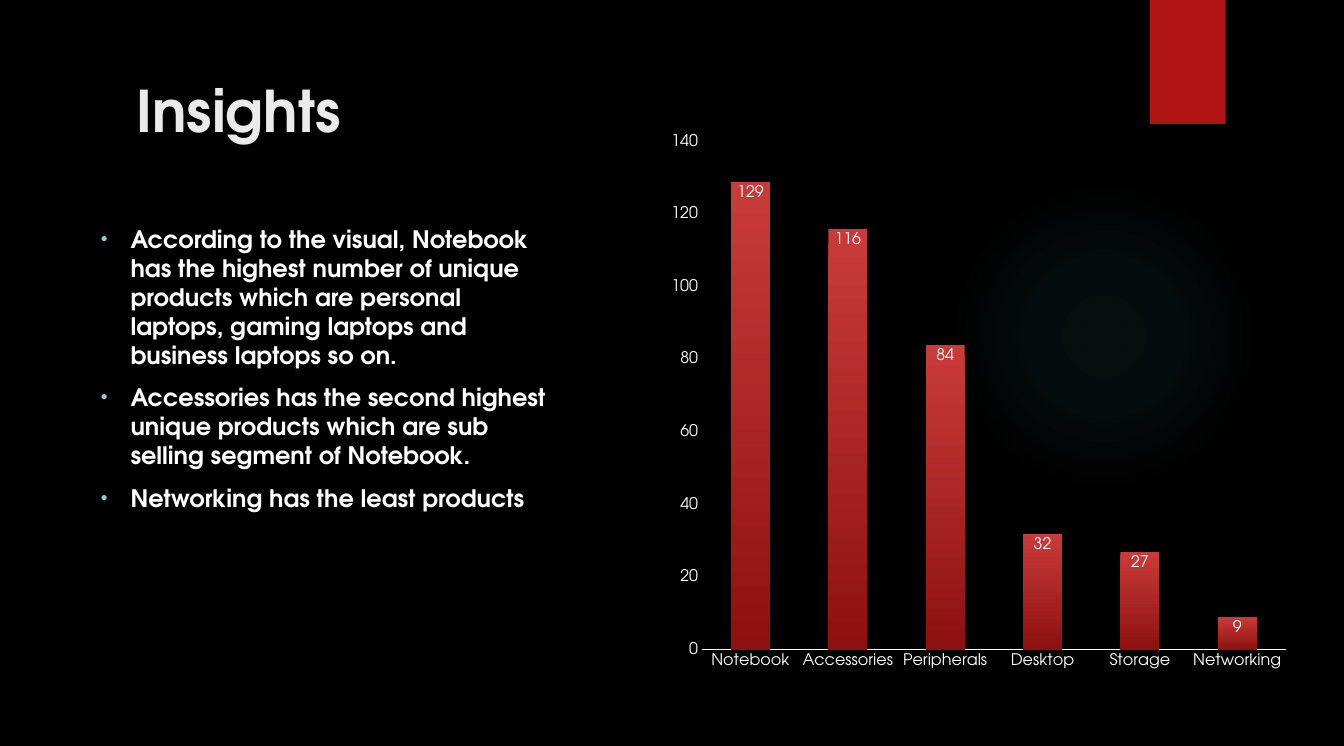
from dataclasses import dataclass

from lxml import etree
from pptx import Presentation
from pptx.chart.data import CategoryChartData
from pptx.dml.color import RGBColor
from pptx.enum.chart import XL_CHART_TYPE, XL_LABEL_POSITION, XL_TICK_MARK
from pptx.enum.shapes import MSO_SHAPE
from pptx.enum.text import MSO_ANCHOR
from pptx.oxml import parse_xml
from pptx.oxml.ns import nsdecls, qn
from pptx.util import Inches, Pt

COLUMN_STACKED = XL_CHART_TYPE.COLUMN_STACKED
INSIDE_END = XL_LABEL_POSITION.INSIDE_END
NO_TICK = XL_TICK_MARK.NONE
OVAL, RECTANGLE = MSO_SHAPE.OVAL, MSO_SHAPE.RECTANGLE
TOP, BOTTOM = MSO_ANCHOR.TOP, MSO_ANCHOR.BOTTOM

FONT = "TeX Gyre Adventor"
BLACK = RGBColor(0x00, 0x00, 0x00)
WHITE = RGBColor(0xFF, 0xFF, 0xFF)
TITLE_GREY = RGBColor(0xEB, 0xEB, 0xEB)
TAB_RED = RGBColor(0xB0, 0x15, 0x13)
BAR_TOP = RGBColor(0xC9, 0x3B, 0x3A)
BAR_BOTTOM = RGBColor(0x8D, 0x11, 0x0F)
GLOW_TEAL = RGBColor(0x50, 0xB9, 0xC1)
BULLET_TEAL = RGBColor(0x8A, 0xD0, 0xD6)

GLOW_STOPS = ((0, 7), (36, 6), (69, 0))  # position and opacity, percent
PRODUCTS = {"Notebook": 129, "Accessories": 116, "Peripherals": 84,
            "Desktop": 32, "Storage": 27, "Networking": 9}


@dataclass(frozen=True)
class Box:
    left: float
    top: float
    width: float
    height: float

    def lengths(self) -> list:
        return [Inches(v) for v in (self.left, self.top, self.width, self.height)]


@dataclass(frozen=True)
class TextBlock:
    box: Box
    paragraphs: tuple
    size: float
    color: RGBColor
    anchor: MSO_ANCHOR = TOP
    bulleted: bool = False


TEXTS = (
    TextBlock(Box(1.32, 0.71, 3.9, 0.84), ("Insights",), 43, TITLE_GREY, BOTTOM),
    TextBlock(Box(0.95, 2.29, 4.83, 3.76), (
        "According to the visual, Notebook has the highest number of unique products "
        "which are personal laptops, gaming laptops and business laptops so on.",
        "Accessories has the second highest unique products which are sub selling "
        "segment of Notebook.",
        "Networking has the least products",
    ), 18, WHITE, bulleted=True),
)


def set_format(target, values: dict) -> None:
    for name, value in values.items():
        setattr(target, name, value)


def set_font(font, size: float, color: RGBColor, bold: bool = False) -> None:
    set_format(font, {"name": FONT, "size": Pt(size), "bold": bold})
    font.color.rgb = color


def add_plain_shape(s, kind: MSO_SHAPE, box: Box, color: RGBColor):
    sp = s.shapes.add_shape(kind, *box.lengths())
    sp.shadow.inherit = False
    sp.fill.solid()
    sp.fill.fore_color.rgb = color
    sp.line.fill.background()
    return sp


def add_glow(s, box: Box) -> None:
    sp = add_plain_shape(s, OVAL, box, GLOW_TEAL)
    stops = "".join(
        f'<a:gs pos="{pos * 1000}"><a:srgbClr val="{GLOW_TEAL}">'
        f'<a:alpha val="{alpha * 1000}"/></a:srgbClr></a:gs>'
        for pos, alpha in GLOW_STOPS)
    gradient = parse_xml(
        f'<a:gradFill {nsdecls("a")}><a:gsLst>{stops}</a:gsLst><a:path path="circle">'
        '<a:fillToRect l="50000" t="50000" r="50000" b="50000"/></a:path></a:gradFill>')
    spPr = sp._element.spPr
    spPr.replace(spPr.find(qn("a:solidFill")), gradient)


def add_bullet(p) -> None:
    p.space_before = Pt(10.3)
    pPr = p._p.get_or_add_pPr()
    pPr.set("marL", str(Inches(0.31)))
    pPr.set("indent", str(-Inches(0.31)))
    color = etree.SubElement(pPr, qn("a:buClr"))
    etree.SubElement(color, qn("a:srgbClr"), val=str(BULLET_TEAL))
    etree.SubElement(pPr, qn("a:buSzPct"), val="80000")
    etree.SubElement(pPr, qn("a:buFont"), typeface="Arial")
    etree.SubElement(pPr, qn("a:buChar"), char="•")


def add_text(s, block: TextBlock) -> None:
    tf = s.shapes.add_textbox(*block.box.lengths()).text_frame
    set_format(tf, {"word_wrap": True, "vertical_anchor": block.anchor})
    for i, text in enumerate(block.paragraphs):
        p = tf.add_paragraph() if i else tf.paragraphs[0]
        if block.bulleted:
            add_bullet(p)
        r = p.add_run()
        r.text = text
        set_font(r.font, block.size, block.color, bold=True)


def add_product_chart(s, box: Box) -> None:
    data = CategoryChartData()
    data.categories = list(PRODUCTS)
    data.add_series("Series 1", list(PRODUCTS.values()))
    chart = s.shapes.add_chart(COLUMN_STACKED, *box.lengths(), data).chart
    set_format(chart, {"has_title": False, "has_legend": False})
    set_font(chart.font, 10, WHITE)

    # Axes
    for axis in (chart.category_axis, chart.value_axis):
        set_format(axis, {"major_tick_mark": NO_TICK, "minor_tick_mark": NO_TICK,
                          "has_major_gridlines": False})
        set_font(axis.tick_labels.font, 12, WHITE)
    line = chart.category_axis.format.line
    line.color.rgb = WHITE
    line.width = Pt(1)
    chart.value_axis.format.line.fill.background()
    set_format(chart.value_axis, {"minimum_scale": 0, "maximum_scale": 140,
                                  "major_unit": 20})

    # Bars and their values
    plot = chart.plots[0]
    set_format(plot, {"gap_width": 150, "overlap": 100, "vary_by_categories": False})
    series = plot.series[0]
    fill = series.format.fill
    fill.gradient()
    fill.gradient_angle = 270
    for stop, position, color in zip(fill.gradient_stops, (0, 1), (BAR_TOP, BAR_BOTTOM)):
        stop.position = position
        stop.color.rgb = color
    labels = series.data_labels
    set_format(labels, {"show_value": True, "position": INSIDE_END})
    set_font(labels.font, 12, WHITE)


def main() -> None:
    prs = Presentation()
    set_format(prs, {"slide_width": Inches(13.98), "slide_height": Inches(7.76)})
    s = prs.slides.add_slide(prs.slide_layouts[6])
    s.background.fill.solid()
    s.background.fill.fore_color.rgb = BLACK

    # Backdrop
    add_glow(s, Box(9.87, 1.9, 3.23, 3.19))
    add_plain_shape(s, RECTANGLE, Box(11.96, 0, 0.79, 1.29), TAB_RED)

    # Content
    for block in TEXTS:
        add_text(s, block)
    add_product_chart(s, Box(6.85, 1.28, 6.66, 5.79))
    prs.save("out.pptx")


if __name__ == "__main__":
    main()
